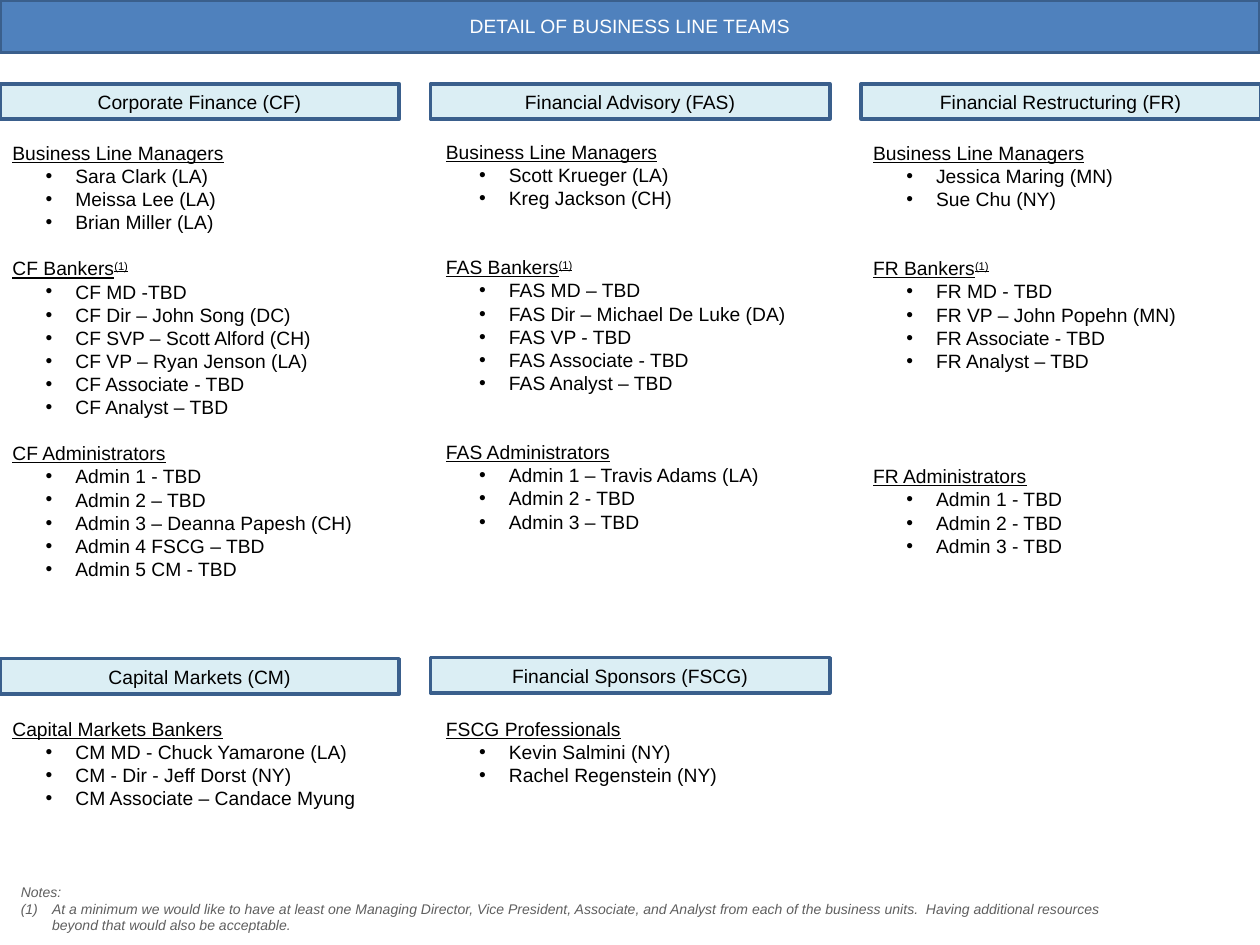
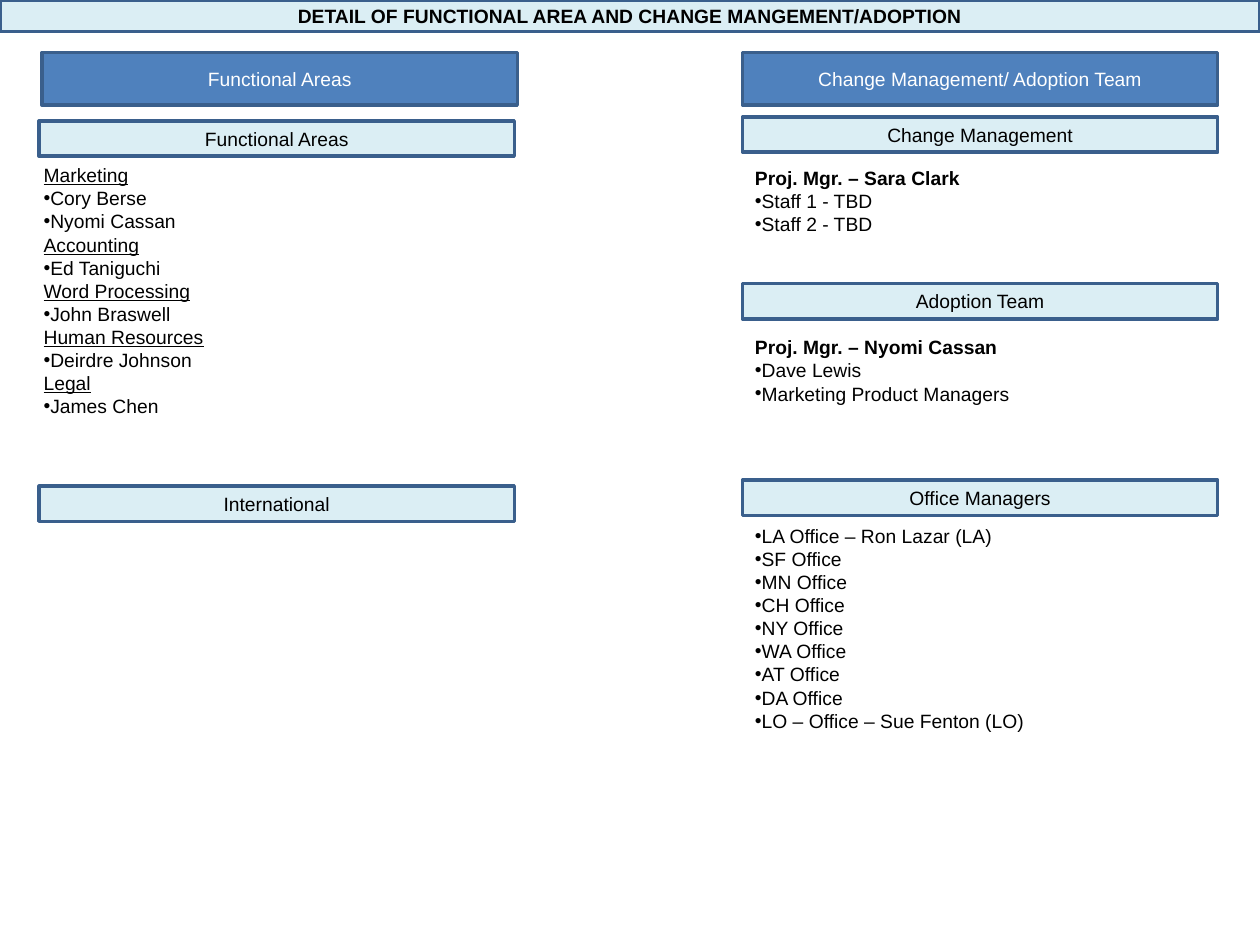
from dataclasses import dataclass

from lxml.etree import SubElement
from pptx import Presentation
from pptx.dml.color import RGBColor
from pptx.enum.shapes import MSO_SHAPE
from pptx.enum.text import MSO_ANCHOR, MSO_AUTO_SIZE, PP_ALIGN
from pptx.oxml.ns import qn
from pptx.util import Cm, Pt

COLORS = {
    "blue": "4F81BD",
    "pale": "DBEEF4",
    "border": "3A5F8C",
    "white": "FFFFFF",
    "black": "000000",
    "gray": "5F5F5F",
}
FONT = "Arial"
SLIDE_WIDTH, SLIDE_HEIGHT = 25.4, 19.05
TALL, LOW = 1.06, 0.71
LINE_HEIGHT = 13.2
UNDERLINED = {"underline": True}
BOLD = {"bold": True}

TEAM_WIDTH, TEAM_STEP = 8.05, 8.68
AREA_WIDTH = 9.58
AREA_LEFT, CHANGE_LEFT = 0.79, 14.97


@dataclass
class Section:
    """A heading with bulleted items; gap counts the empty lines above it."""

    heading: str
    items: list
    gap: int = 0
    mark: str = ""


CORPORATE = [
    Section("Business Line Managers", ["Sara Clark (LA)", "Meissa Lee (LA)", "Brian Miller (LA)"]),
    Section("CF Bankers", [
        "CF MD -TBD", "CF Dir – John Song (DC)", "CF SVP – Scott Alford (CH)",
        "CF VP – Ryan Jenson (LA)", "CF Associate - TBD", "CF Analyst – TBD",
    ], 1, "(1)"),
    Section("CF Administrators", [
        "Admin 1 - TBD", "Admin 2 – TBD", "Admin 3 – Deanna Papesh (CH)",
        "Admin 4 FSCG – TBD", "Admin 5 CM - TBD",
    ], 1),
]
ADVISORY = [
    Section("Business Line Managers", ["Scott Krueger (LA)", "Kreg Jackson (CH)"]),
    Section("FAS Bankers", [
        "FAS MD – TBD", "FAS Dir – Michael De Luke (DA)", "FAS VP - TBD",
        "FAS Associate - TBD", "FAS Analyst – TBD",
    ], 2, "(1)"),
    Section("FAS Administrators", [
        "Admin 1 – Travis Adams (LA)", "Admin 2 - TBD", "Admin 3 – TBD",
    ], 2),
]
RESTRUCTURING = [
    Section("Business Line Managers", ["Jessica Maring (MN)", "Sue Chu (NY)"]),
    Section("FR Bankers", [
        "FR MD - TBD", "FR VP – John Popehn (MN)", "FR Associate - TBD", "FR Analyst – TBD",
    ], 2, "(1)"),
    Section("FR Administrators", ["Admin 1 - TBD", "Admin 2 - TBD", "Admin 3 - TBD"], 4),
]
MARKETS = [
    Section("Capital Markets Bankers", [
        "CM MD - Chuck Yamarone (LA)", "CM - Dir - Jeff Dorst (NY)",
        "CM Associate – Candace Myung",
    ]),
]
SPONSORS = [Section("FSCG Professionals", ["Kevin Salmini (NY)", "Rachel Regenstein (NY)"])]
FUNCTIONS = [
    Section("Marketing", ["Cory Berse", "Nyomi Cassan"]),
    Section("Accounting", ["Ed Taniguchi"]),
    Section("Word Processing", ["John Braswell"]),
    Section("Human Resources", ["Deirdre Johnson"]),
    Section("Legal", ["James Chen"]),
]
CHANGE = [Section("Proj. Mgr. – Sara Clark", ["Staff 1 - TBD", "Staff 2 - TBD"])]
ADOPTION = [Section("Proj. Mgr. – Nyomi Cassan", ["Dave Lewis", "Marketing Product Managers"])]
OFFICES = [
    Section("", [
        "LA Office – Ron Lazar (LA)",
        *[f"{city} Office" for city in ("SF", "MN", "CH", "NY", "WA", "AT", "DA")],
        "LO – Office – Sue Fenton (LO)",
    ]),
]
NOTE = (
    "At a minimum we would like to have at least one Managing Director, Vice President, "
    "Associate, and Analyst from each of the business units.  Having additional resources "
    "beyond that would also be acceptable."
)


def color(name):
    """Return the named colour."""
    return RGBColor.from_string(COLORS[name])


def apply(target, values):
    """Set each attribute of the target from a dict."""
    for name, value in values.items():
        setattr(target, name, value)


def add_run(paragraph, text, color_name="black", **values):
    """Add a run in the shared font and return it."""
    run = paragraph.add_run()
    run.text = text
    apply(run.font, {"name": FONT, "size": Pt(11), **values})
    run.font.color.rgb = color(color_name)
    return run


def set_bullet(paragraph, tag, **attributes):
    """Give the paragraph a bullet in the shared font."""
    properties = paragraph._p.get_or_add_pPr()
    SubElement(properties, qn("a:buFont"), typeface=FONT)
    SubElement(properties, qn(tag), attributes)


def set_indent(paragraph, margin, hanging):
    """Set the left margin and the hanging first line, in centimetres."""
    properties = paragraph._p.get_or_add_pPr()
    properties.set("marL", str(Cm(margin)))
    properties.set("indent", str(-Cm(hanging)))


def add_band(slide, text, left, top, width, height=LOW, fill="pale", **values):
    """Add a bordered rectangle with a centred label."""
    shape = slide.shapes.add_shape(
        MSO_SHAPE.RECTANGLE, Cm(left), Cm(top), Cm(width), Cm(height))
    shape.shadow.inherit = False
    shape.fill.solid()
    shape.fill.fore_color.rgb = color(fill)
    shape.line.color.rgb = color("border")
    shape.line.width = Pt(2)
    shape.text_frame.vertical_anchor = MSO_ANCHOR.MIDDLE
    paragraph = shape.text_frame.paragraphs[0]
    paragraph.alignment = PP_ALIGN.CENTER
    add_run(paragraph, text, "white" if fill == "blue" else "black", **values)


def add_text_frame(slide, left, top, width, height, **values):
    """Add a text box that grows with its text and return its frame."""
    box = slide.shapes.add_textbox(Cm(left), Cm(top), Cm(width), Cm(height))
    apply(box.text_frame, {"word_wrap": True, "auto_size": MSO_AUTO_SIZE.SHAPE_TO_FIT_TEXT, **values})
    return box.text_frame


def next_paragraph(frame):
    """Return the first paragraph while it is empty, else a new one."""
    first = frame.paragraphs[0]
    return frame.add_paragraph() if first.runs else first


def add_sections(frame, sections, heading_format, margin=0, hanging=0, level=0):
    """Write headings and their bulleted items."""
    for section in sections:
        if section.heading:
            paragraph = next_paragraph(frame)
            if section.gap:
                paragraph.space_before = Pt(section.gap * LINE_HEIGHT)
            add_run(paragraph, section.heading, **heading_format)
            if section.mark:
                mark = add_run(paragraph, section.mark, **heading_format)
                mark.font._element.set("baseline", "30000")
        for item in section.items:
            paragraph = next_paragraph(frame)
            paragraph.level = level
            set_indent(paragraph, margin, hanging)
            set_bullet(paragraph, "a:buChar", char="•")
            add_run(paragraph, item)


def add_notes(slide):
    """Add the numbered notes at the foot of the slide."""
    frame = add_text_frame(
        slide, 0.42, 17.81, 22.22, 1.02,
        margin_left=0, margin_right=0, margin_top=0, margin_bottom=0)
    for text in ("Notes:", NOTE):
        paragraph = next_paragraph(frame)
        set_indent(paragraph, 0.63, 0.63)
        if text == NOTE:
            set_bullet(paragraph, "a:buAutoNum", type="arabicParenBoth")
        add_run(paragraph, text, "gray", size=Pt(8), italic=True)


def build_business_lines(slide):
    """Build the slide of business line teams."""
    add_band(slide, "DETAIL OF BUSINESS LINE TEAMS", 0, 0, SLIDE_WIDTH, TALL, "blue")
    teams = [
        ("Corporate Finance (CF)", 0, 1.69, (0, 2.72, 7.39, 9.65), CORPORATE),
        ("Financial Advisory (FAS)", 1, 1.69, (8.74, 2.7, 7.57, 8.71), ADVISORY),
        ("Financial Restructuring (FR)", 2, 1.69, (17.35, 2.72, 6.71, 8.71), RESTRUCTURING),
        ("Capital Markets (CM)", 0, 13.28, (0, 14.33, 7.72, 2.62), MARKETS),
        ("Financial Sponsors (FSCG)", 1, 13.26, (8.74, 14.33, 5.99, 1.68), SPONSORS),
    ]
    for title, column, top, place, sections in teams:
        add_band(slide, title, column * TEAM_STEP, top, TEAM_WIDTH)
        frame = add_text_frame(slide, *place, word_wrap=False)
        add_sections(frame, sections, UNDERLINED, margin=1.27, hanging=0.6, level=1)
    add_notes(slide)


def build_functional_areas(slide):
    """Build the slide of functional areas and the change team."""
    add_band(
        slide, "DETAIL OF FUNCTIONAL AREA AND CHANGE MANGEMENT/ADOPTION",
        0, 0, SLIDE_WIDTH, 0.64, **BOLD)
    add_band(slide, "Functional Areas", 0.85, TALL, AREA_WIDTH, TALL, "blue")
    add_band(slide, "Change Management/ Adoption Team", CHANGE_LEFT, TALL, AREA_WIDTH, TALL, "blue")
    for title, left, top in [
        ("Functional Areas", AREA_LEFT, 2.44),
        ("International", AREA_LEFT, 9.8),
        ("Change Management", CHANGE_LEFT, 2.36),
        ("Adoption Team", CHANGE_LEFT, 5.72),
        ("Office Managers", CHANGE_LEFT, 9.68),
    ]:
        add_band(slide, title, left, top, AREA_WIDTH)
    for place, sections, heading_format in [
        ((0.63, 3.17, 7.34, 5.44), FUNCTIONS, UNDERLINED),
        ((CHANGE_LEFT, 3.23, AREA_WIDTH, 1.68), CHANGE, BOLD),
        ((CHANGE_LEFT, 6.64, AREA_WIDTH, 1.68), ADOPTION, BOLD),
        ((CHANGE_LEFT, 10.44, AREA_WIDTH, 4.5), OFFICES, BOLD),
    ]:
        add_sections(add_text_frame(slide, *place), sections, heading_format)


def main():
    """Build both slides and save the presentation."""
    presentation = Presentation()
    apply(presentation, {"slide_width": Cm(SLIDE_WIDTH), "slide_height": Cm(SLIDE_HEIGHT)})
    for build in (build_business_lines, build_functional_areas):
        build(presentation.slides.add_slide(presentation.slide_layouts[6]))
    presentation.save("out.pptx")


main()
